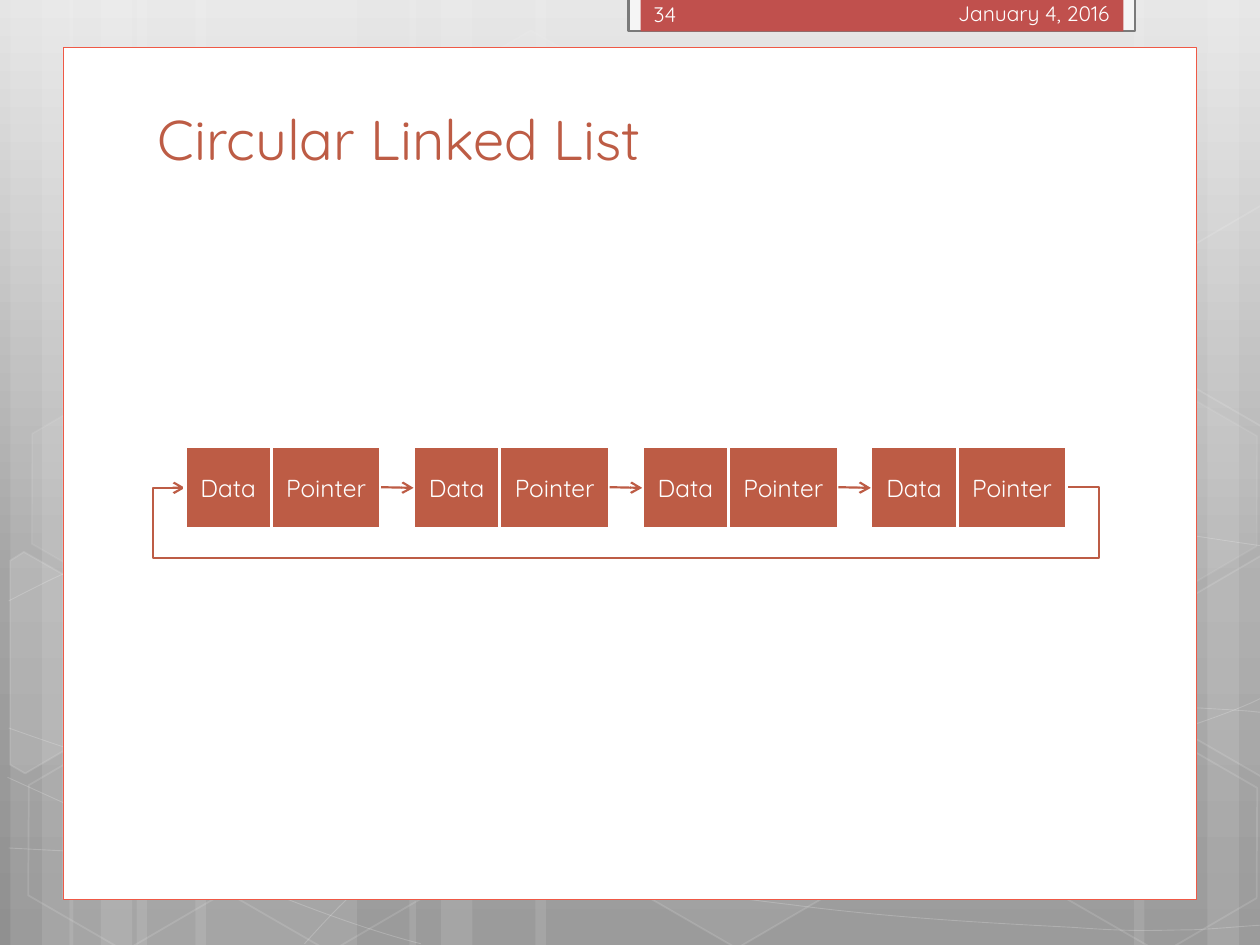
from copy import deepcopy
from dataclasses import dataclass

from lxml import etree
from pptx import Presentation
from pptx.dml.color import RGBColor
from pptx.enum import shapes, text
from pptx.oxml.ns import qn
from pptx.util import Pt

FONT = "Quicksand"
RUST, WHITE, CREAM = "BD5C45", "FFFFFF", "FEFEFE"
RECT, HEXAGON = shapes.MSO_SHAPE.RECTANGLE, shapes.MSO_SHAPE.HEXAGON
LEFT, CENTER, RIGHT = text.PP_ALIGN.LEFT, text.PP_ALIGN.CENTER, text.PP_ALIGN.RIGHT
MIDDLE, BOTTOM = text.MSO_ANCHOR.MIDDLE, text.MSO_ANCHOR.BOTTOM


@dataclass
class Box:
    """Left, top, width and height in points."""
    x: float
    y: float
    w: float
    h: float

    def lengths(self) -> list:
        """Return the four lengths for python-pptx."""
        return [Pt(v) for v in (self.x, self.y, self.w, self.h)]


@dataclass
class Look:
    """Fill and line; alpha values are percentages."""
    fill: str = ""
    line: str = ""
    width: float = 1
    fill_alpha: int = 100
    line_alpha: int = 100


def rgb(value: str) -> RGBColor:
    """Turn a hex string into a colour."""
    return RGBColor.from_string(value)


def apply(obj, values: dict) -> None:
    """Set every attribute named in a dict of format values."""
    for name, value in values.items():
        setattr(obj, name, value)


def paint(fill, parent, color: str, alpha: int) -> None:
    """Give a solid colour with transparency, or none at all."""
    if not color:
        fill.background()
        return
    fill.solid()
    fill.fore_color.rgb = rgb(color)
    if alpha < 100:
        clr = parent.find(qn("a:solidFill")).find(qn("a:srgbClr"))
        etree.SubElement(clr, qn("a:alpha")).set("val", str(alpha * 1000))


def style(sp, look: Look):
    """Apply a look to a shape and drop its shadow."""
    sp.shadow.inherit = False
    props = sp.element.spPr
    paint(sp.fill, props, look.fill, look.fill_alpha)
    sp.line.width = Pt(look.width)
    paint(sp.line.fill, props.find(qn("a:ln")), look.line, look.line_alpha)
    return sp


def add_preset(slide, kind, box: Box, look: Look):
    """Add a styled preset shape."""
    return style(slide.shapes.add_shape(kind, *box.lengths()), look)


def write(sp, words: str, size: float, color: str, align=LEFT, anchor=MIDDLE) -> None:
    """Write one formatted line of text."""
    tf = sp.text_frame
    apply(tf, {"word_wrap": True, "auto_size": text.MSO_AUTO_SIZE.NONE,
               "vertical_anchor": anchor})
    p = tf.paragraphs[0]
    p.alignment = align
    r = p.add_run()
    r.text = words
    apply(r.font, {"name": FONT, "size": Pt(size)})
    r.font.color.rgb = rgb(color)


def add_outline(slide, points: list, look: Look, close: bool):
    """Draw a freeform through the points."""
    pts = [(Pt(x), Pt(y)) for x, y in points]
    builder = slide.shapes.build_freeform(*pts[0])
    builder.add_line_segments(pts[1:], close=close)
    return style(builder.convert_to_shape(), look)


def add_curve(slide, knots: list, look: Look) -> None:
    """Draw an open chain of cubic curves."""
    sp = add_outline(slide, knots, look, False)
    segments = list(sp.element.iter(qn("a:lnTo")))
    outline = segments[0].getparent()
    for i in range(0, len(segments), 3):
        curve = etree.SubElement(outline, qn("a:cubicBezTo"))
        for segment in segments[i:i + 3]:
            curve.append(segment[0])
            outline.remove(segment)


def add_arrow(slide, kind, x1: float, y1: float, x2: float, y2: float):
    """Add a connector with an open arrowhead at its end."""
    line = slide.shapes.add_connector(kind, Pt(x1), Pt(y1), Pt(x2), Pt(y2))
    line.line.width = Pt(1.25)
    line.line.color.rgb = rgb(RUST)
    props = line.element.spPr
    etree.SubElement(props.find(qn("a:ln")), qn("a:tailEnd")).set("type", "arrow")
    etree.SubElement(props, qn("a:effectLst"))
    return line


def set_gradient(slide, stops: list) -> None:
    """Fill the background from top to bottom."""
    fill = slide.background.fill
    fill.gradient()
    fill.gradient_angle = 270
    stop_list = next(slide.element.iter(qn("a:gsLst")))
    while len(stop_list) < len(stops):
        stop_list.append(deepcopy(stop_list[0]))
    for stop, (position, color) in zip(fill.gradient_stops, stops):
        stop.position = position
        stop.color.rgb = rgb(color)


BANDS = [(78, 126), (6, 36), (24, 60), (111.6, 126), (39.6, 36), (57.6, 60),
         (528, 126), (690, 36), (648, 60), (306, 222), (234, 36), (252, 60)]
CURVES = [
    [(5, 484.6), (44, 486.7), (83, 489), (137, 488), (191, 487), (258, 486), (330, 479),
     (402, 471.6), (504, 458), (570, 444), (636, 430.6), (703.4, 409), (725, 396.7)],
    [(5, 343.4), (26, 332.6), (47, 321), (87, 310), (128, 299.5), (186.5, 283.7),
     (250, 278.6), (314, 273.6), (392, 273), (471, 278.6), (550, 284.4), (682, 306.7),
     (725, 312.5)],
    [(4.3, 444.2), (91.4, 483.8), (177.8, 523.4), (240.5, 539.3)],
    [(5, 416), (27.4, 424), (50.4, 432), (92, 443.5), (134, 454.3), (196.6, 472.3),
     (257, 484.6), (317, 497), (392, 510), (452, 517), (512, 525), (576, 528), (614, 530),
     (651.6, 532.8), (661.7, 531.4), (680.4, 531.4), (699, 530.6), (712, 529), (725, 528.5)],
    [(174, 539.3), (187, 525), (200, 510.5), (217.4, 497.5), (234.7, 484.6), (259, 470),
     (279.4, 460), (299.5, 450), (311.8, 445.7), (338.4, 438.5), (364, 431), (412.6, 421),
     (437.8, 416), (463.7, 411), (467.3, 411), (489.6, 409.7), (511, 407.5), (547, 405.4),
     (571.7, 404.6), (597, 404), (638, 404.6), (638, 404.6), (654, 404.6), (670, 404.6),
     (686, 404.6), (699, 405.4), (711.4, 406), (717.8, 406.8), (724.3, 407.5),
     (722, 406.8), (724.3, 407.5)],
]
# Left, top, fill alpha, line alpha
HEXAGONS = [(240.5, 26, 4, 8), (357.8, 424, 6, 12), (8, 425.5, 0, 12), (10, 224.6, 7, 8),
            (125.3, 426, 0, 12), (600.5, 427, 0, 12), (600.5, 226, 7, 8)]
# Fill alpha, corners
CUT_HEXAGONS = [
    (10, [(5.8, 320.4), (13.7, 315.4), (69, 347), (68.4, 410.4), (14.4, 442), (5.8, 437)]),
    (4, [(666.7, 349), (720.7, 317.5), (726.5, 321), (726.5, 441.4), (721.4, 444.2),
         (666.7, 412.6)]),
    (0, [(666.7, 149), (720.7, 117.4), (727, 121), (726.5, 241), (721.4, 244), (666.7, 212.4)]),
]


def hex_look(fill_alpha: int, line_alpha: int) -> Look:
    """Return the faint white look of a hexagon."""
    return Look(WHITE if fill_alpha else "", WHITE, 1, fill_alpha, line_alpha)


def draw_backdrop(slide) -> None:
    """Draw bands, curves, hexagons and the white panel."""
    set_gradient(slide, [(0, "E5E5E5"), (0.62, "A4A4A4"), (1, "909090")])
    for x, w in BANDS:
        add_preset(slide, RECT, Box(x, 0, w, 540), Look(WHITE, fill_alpha=10))
    for knots in CURVES:
        add_curve(slide, knots, Look("", WHITE, 0.5, line_alpha=20))
    for x, y, fill_alpha, line_alpha in HEXAGONS:
        sp = add_preset(slide, HEXAGON, Box(x, y, 126, 109.4), hex_look(fill_alpha, line_alpha))
        sp.rotation = 30
        sp.adjustments[0] = 0.285
    for fill_alpha, corners in CUT_HEXAGONS:
        add_outline(slide, corners, hex_look(fill_alpha, 12), True)
    add_preset(slide, RECT, Box(36, 27.2, 648, 486.6), Look(WHITE, "EF5946", 0.5))
    add_preset(slide, RECT, Box(359.1, -1.4, 289.4, 19.4), Look("F5F5F5", "7A7A7A", 1.25))
    add_preset(slide, RECT, Box(366, -1.4, 275.9, 19.4), Look("C0504D"))


def draw_list(slide, count: int = 4) -> None:
    """Draw the linked nodes and the link back to the first."""
    left, pitch, data_w, pointer_w = 105.7, 130.65, 49.3, 62.75
    tail_y, head_y = 278.4, 278.81
    node_w = data_w + pointer_w
    end = left + (count - 1) * pitch + node_w
    loop = add_arrow(slide, shapes.MSO_CONNECTOR.ELBOW, end, tail_y, left, head_y)
    geometry = loop.element.spPr.find(qn("a:prstGeom"))
    geometry.set("prst", "bentConnector5")
    guides = geometry.find(qn("a:avLst"))
    for i, value in enumerate((-3600, 10214300, 103600), 1):
        guide = etree.SubElement(guides, qn("a:gd"))
        guide.set("name", f"adj{i}")
        guide.set("fmla", f"val {value}")
    for x in (left + i * pitch for i in range(count)):
        for words, box in (("Data", Box(x, 255.4, data_w, 46.6)),
                           ("Pointer", Box(x + data_w, 255, pointer_w, 46.8))):
            write(add_preset(slide, RECT, box, Look(RUST, WHITE, 1.75)), words, 14, WHITE, CENTER)
    for x in (left + i * pitch for i in range(count - 1)):
        add_arrow(slide, shapes.MSO_CONNECTOR.STRAIGHT, x + node_w, tail_y, x + pitch, head_y)


def main() -> None:
    """Build and save the slide."""
    prs = Presentation()
    apply(prs, {"slide_width": Pt(720), "slide_height": Pt(540)})
    slide = prs.slides.add_slide(prs.slide_layouts[5])
    draw_backdrop(slide)
    date = slide.shapes.add_textbox(*Box(473.3, -2.5, 167.8, 20.2).lengths())
    write(date, "January 4, 2016", 12, CREAM, RIGHT)
    title = slide.shapes.title
    title.element.getparent().append(title.element)
    apply(title, dict(zip(("left", "top", "width", "height"),
                          Box(82.8, 56.9, 566, 44.6).lengths())))
    write(title, "Circular Linked List", 32, RUST, LEFT, BOTTOM)
    draw_list(slide)
    number = slide.shapes.add_textbox(*Box(366.5, -1.4, 105, 19.4).lengths())
    write(number, "34", 12, CREAM)
    prs.save("out.pptx")


main()
